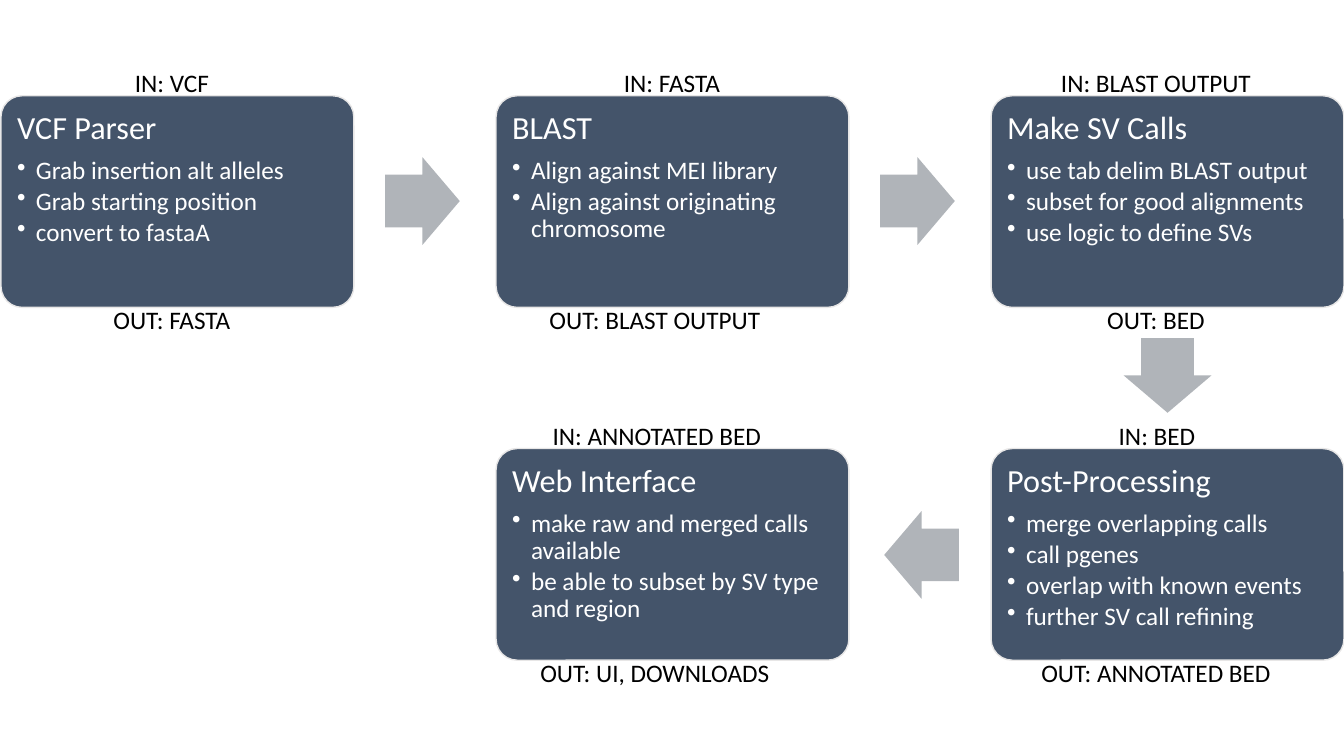
from dataclasses import dataclass

from lxml.etree import SubElement
from pptx import Presentation
from pptx.dml.color import RGBColor as RGB
from pptx.enum.shapes import MSO_SHAPE as SHAPE
from pptx.enum.text import MSO_ANCHOR as ANCHOR, MSO_AUTO_SIZE as AUTO, PP_ALIGN as ALIGN
from pptx.oxml.ns import qn
from pptx.util import Pt


@dataclass(frozen=True)
class Theme:
    """Colours, font and type sizes of the slide."""
    card: RGB = RGB(0x44, 0x54, 0x6A)
    edge: RGB = RGB(0xE7, 0xE6, 0xE6)
    arrow: RGB = RGB(0xB0, 0xB4, 0xB9)
    light: RGB = RGB(0xFF, 0xFF, 0xFF)
    dark: RGB = RGB(0, 0, 0)
    font: str = "Calibri"
    title: int = 23
    body: int = 18


THEME = Theme()
SCALE = 9144
CARD_W, CARD_H = 350, 210
ARROW_W, ARROW_H = 74, 87
LABEL_W, LABEL_H = 271, 40
LEFT, TOP, COL_STEP, ROW_STEP = 1, 95, 491, 350

STEPS = [
    (0, 0, "VCF Parser",
     ["Grab insertion alt alleles", "Grab starting position", "convert to fastaA"],
     ("IN: VCF", 34), ("OUT: FASTA", 34)),
    (1, 0, "BLAST",
     ["Align against MEI library", "Align against originating chromosome"],
     ("IN: FASTA", 39), ("OUT: BLAST OUTPUT", 22)),
    (2, 0, "Make SV Calls",
     ["use tab delim BLAST output", "subset for good alignments", "use logic to define SVs"],
     ("IN: BLAST OUTPUT", 28), ("OUT: BED", 28)),
    (2, 1, "Post-Processing",
     ["merge overlapping calls", "call pgenes", "overlap with known events",
      "further SV call refining"],
     ("IN: BED", 29), ("OUT: ANNOTATED BED", 28)),
    (1, 1, "Web Interface",
     ["make raw and merged calls available", "be able to subset by SV type and region"],
     ("IN: ANNOTATED BED", 24), ("OUT: UI, DOWNLOADS", 22)),
]
ARROWS = [(0, 0, 381, 61, 0), (1, 0, 381, 61, 0), (2, 0, 138, 234, 90), (1, 1, 385, 62, 180)]


def px(*lengths):
    """Turn px lengths into EMU."""
    return [n * SCALE for n in lengths]


def cell(col, row):
    """Return the top left corner of a card in the grid."""
    return LEFT + col * COL_STEP, TOP + row * ROW_STEP


def set_font(p, size, color):
    """Give every run of a paragraph its font."""
    for r in p.runs:
        r.font.name, r.font.size = THEME.font, Pt(size)
        r.font.color.rgb = color


def add_bullet(p):
    """Make a paragraph a bulleted item with a hanging indent."""
    p.level = 1
    pPr = p._p.get_or_add_pPr()
    pPr.set("marL", "171450")
    pPr.set("indent", "-171450")
    SubElement(pPr, qn("a:buChar")).set("char", "•")


def add_card(slide, x, y, title, items):
    """Draw a rounded card with a title and bullets."""
    s = slide.shapes.add_shape(SHAPE.ROUNDED_RECTANGLE, *px(x, y, CARD_W, CARD_H))
    s.adjustments[0] = 0.1
    s.shadow.inherit = False
    s.fill.solid()
    s.fill.fore_color.rgb = THEME.card
    s.line.color.rgb = THEME.edge
    s.line.width = Pt(1)
    tf = s.text_frame
    tf.word_wrap, tf.vertical_anchor = True, ANCHOR.TOP
    tf.margin_left, tf.margin_top, tf.margin_right, tf.margin_bottom = px(10, 10, 10, 10)
    tf.text = "\n".join([title, *items])
    for i, p in enumerate(tf.paragraphs):
        p.alignment, p.line_spacing = ALIGN.LEFT, 0.9
        p.space_after = Pt(2.7 if i else 8)
        if i:
            add_bullet(p)
        set_font(p, THEME.body if i else THEME.title, THEME.light)


def add_arrow(slide, x, y, turn):
    """Draw a block arrow turned clockwise by some degrees."""
    s = slide.shapes.add_shape(SHAPE.RIGHT_ARROW, *px(x, y, ARROW_W, ARROW_H))
    s.adjustments[0], s.adjustments[1] = 0.6, 0.5
    s.rotation = turn
    s.shadow.inherit = False
    s.fill.solid()
    s.fill.fore_color.rgb = THEME.arrow
    s.line.fill.background()


def add_label(slide, x, y, text):
    """Write a centred input or output label."""
    tf = slide.shapes.add_textbox(*px(x, y, LABEL_W, LABEL_H)).text_frame
    tf.word_wrap, tf.auto_size = True, AUTO.SHAPE_TO_FIT_TEXT
    tf.text = text
    p = tf.paragraphs[0]
    p.alignment = ALIGN.CENTER
    set_font(p, THEME.body, THEME.dark)


def add_pipeline(slide):
    """Lay out the cards, the arrows between them and their labels."""
    for col, row, title, items, _, _ in STEPS:
        add_card(slide, *cell(col, row), title, items)
    for col, row, dx, dy, turn in ARROWS:
        x, y = cell(col, row)
        add_arrow(slide, x + dx, y + dy, turn)
    for col, row, _, _, (source, source_dx), (result, result_dx) in STEPS:
        x, y = cell(col, row)
        add_label(slide, x + source_dx, y - 33, source)
        add_label(slide, x + result_dx, y + CARD_H - 8, result)


def main():
    """Build and save the presentation."""
    prs = Presentation()
    prs.slide_width, prs.slide_height = px(1333, 750)
    add_pipeline(prs.slides.add_slide(prs.slide_layouts[6]))
    prs.save("out.pptx")


if __name__ == "__main__":
    main()
